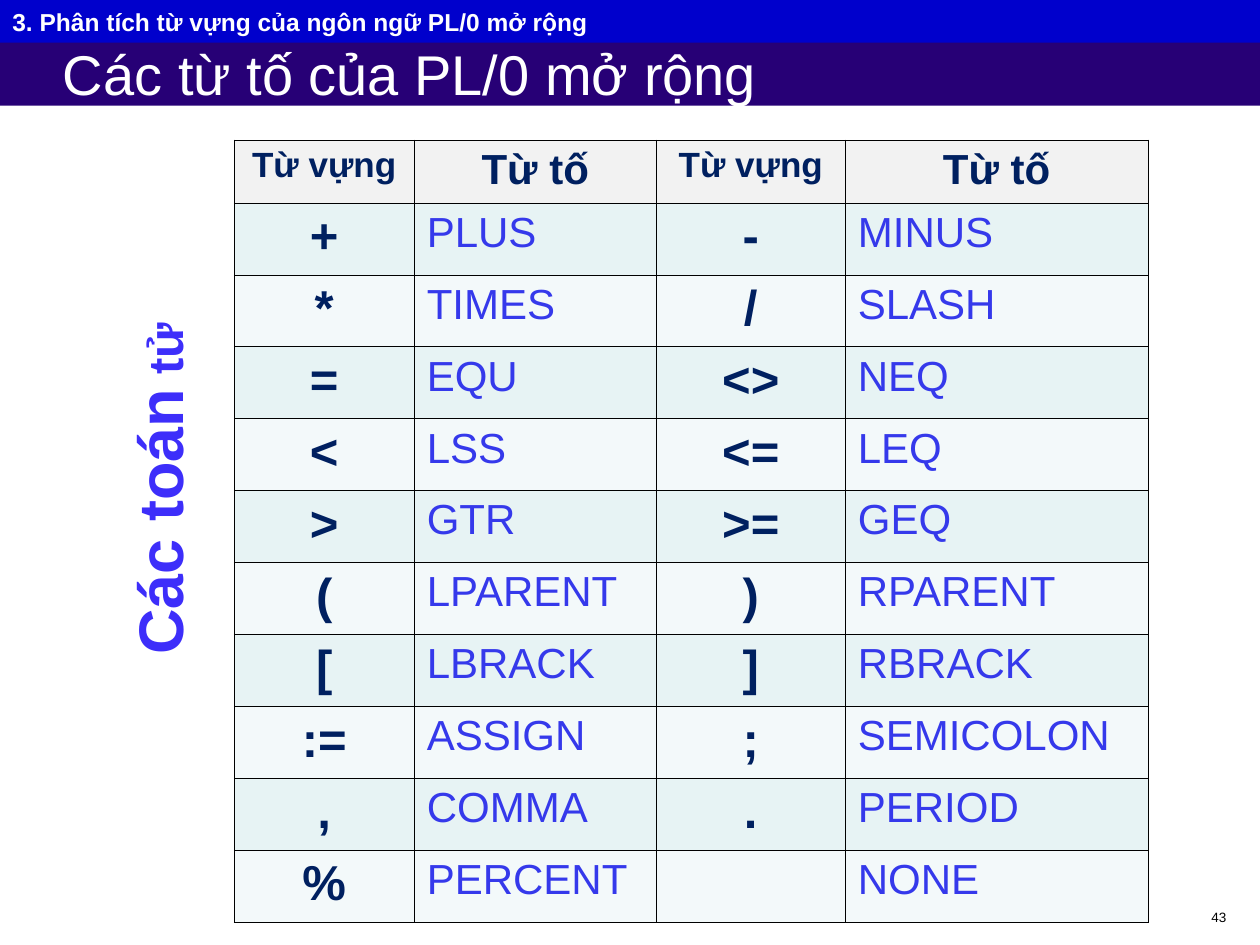
from dataclasses import dataclass

from lxml import etree
from pptx import Presentation
from pptx import util as u
from pptx.dml.color import RGBColor
from pptx.enum import shapes, text
from pptx.oxml import parse_xml
from pptx.oxml.ns import nsdecls

FONT = "Arial"
COLORS = {
    "white": "FFFFFF",
    "black": "000000",
    "chapter_bar": "0000CC",
    "title_bar": "270076",
    "side_label": "3D2EFA",
    "lexeme": "002060",
    "token": "3539EB",
    "header_row": "F2F2F2",
    "odd_row": "E7F3F4",
    "even_row": "F3F9FA",
}
COLUMN_WIDTHS = (3.63, 4.88, 3.81, 6.1)
HEADER_HEIGHT = 1.27
ROW_HEIGHT = 1.45
HEADERS = ("Từ vựng", "Từ tố", "Từ vựng", "Từ tố")
OPERATORS = (
    ("+", "PLUS", "-", "MINUS"),
    ("*", "TIMES", "/", "SLASH"),
    ("=", "EQU", "<>", "NEQ"),
    ("<", "LSS", "<=", "LEQ"),
    (">", "GTR", ">=", "GEQ"),
    ("(", "LPARENT", ")", "RPARENT"),
    ("[", "LBRACK", "]", "RBRACK"),
    (":=", "ASSIGN", ";", "SEMICOLON"),
    (",", "COMMA", ".", "PERIOD"),
    ("%", "PERCENT", "", "NONE"),
)


@dataclass(frozen=True)
class TextStyle:
    size: float
    color: str
    bold: bool = False
    align: text.PP_ALIGN = text.PP_ALIGN.LEFT


@dataclass(frozen=True)
class Bar:
    top: float
    height: float
    fill: str
    inset: float
    words: str
    style: TextStyle


CENTER = text.PP_ALIGN.CENTER
LEXEME_HEADER = TextStyle(20, "lexeme", True, CENTER)
TOKEN_HEADER = TextStyle(24, "lexeme", True, CENTER)
LEXEME = TextStyle(28, "lexeme", True, CENTER)
TOKEN = TextStyle(24, "token")
PAGE_NUMBER = TextStyle(7.7, "black", align=text.PP_ALIGN.RIGHT)
BARS = (
    Bar(0.82, 1.31, "title_bar", 1.27, "Các từ tố của PL/0 mở rộng",
        TextStyle(32, "white")),
    Bar(0, 0.86, "chapter_bar", 0.25,
        "3. Phân tích từ vựng của ngôn ngữ PL/0 mở rộng",
        TextStyle(14, "white", True)),
)


def rgb(name: str) -> RGBColor:
    return RGBColor.from_string(COLORS[name])


def style_font(font, style: TextStyle) -> None:
    font.name = FONT
    font.size = u.Pt(style.size)
    font.bold = style.bold
    font.color.rgb = rgb(style.color)


def write(paragraph, words: str, style: TextStyle) -> None:
    paragraph.text = words
    paragraph.alignment = style.align
    style_font(paragraph.font, style)


def add_bar(slide, bar: Bar, width: int) -> None:
    shape = slide.shapes.add_shape(
        shapes.MSO_SHAPE.RECTANGLE, 0, u.Cm(bar.top), width, u.Cm(bar.height))
    shape.shadow.inherit = False
    shape.fill.solid()
    shape.fill.fore_color.rgb = rgb(bar.fill)
    shape.line.fill.background()
    frame = shape.text_frame
    frame.margin_left = u.Cm(bar.inset)
    frame.margin_top = frame.margin_bottom = 0
    frame.vertical_anchor = text.MSO_ANCHOR.MIDDLE
    write(frame.paragraphs[0], bar.words, bar.style)


def add_side_label(slide) -> None:
    """Add the label that reads upwards, to the left of the table."""
    box = slide.shapes.add_textbox(u.Cm(2.11), u.Cm(5.51), u.Cm(2.54), u.Cm(8.69))
    frame = box.text_frame
    frame.word_wrap = True
    frame.margin_left = frame.margin_right = u.Cm(0.33)
    frame.margin_top = frame.margin_bottom = u.Cm(0.33)
    body = frame.paragraphs[0]._p.getparent().find("{*}bodyPr")
    body.set("vert", "vert270")
    paragraph = frame.paragraphs[0]
    paragraph.alignment = CENTER
    for words, size in (("Các toán", 36), (" tử", 28)):
        run = paragraph.add_run()
        run.text = words
        style_font(run.font, TextStyle(size, "side_label", True))


def add_borders(cell) -> None:
    properties = cell._tc.get_or_add_tcPr()
    for index, side in enumerate(("lnL", "lnR", "lnT", "lnB")):
        border = parse_xml(f'<a:{side} {nsdecls("a")} w="{u.Pt(0.45)}"/>')
        fill = etree.SubElement(border, border.tag.replace(side, "solidFill"))
        color = etree.SubElement(fill, border.tag.replace(side, "srgbClr"))
        color.set("val", COLORS["black"])
        properties.insert(index, border)


def fill_row(table, row: int, words: tuple[str, ...], fill: str,
             styles: tuple[TextStyle, TextStyle]) -> None:
    """Fill one row, with the lexeme and token styles taking turns."""
    for column, word in enumerate(words):
        cell = table.cell(row, column)
        cell.fill.solid()
        cell.fill.fore_color.rgb = rgb(fill)
        add_borders(cell)
        write(cell.text_frame.paragraphs[0], word, styles[column % 2])


def add_operator_table(slide) -> None:
    height = HEADER_HEIGHT + ROW_HEIGHT * len(OPERATORS)
    table = slide.shapes.add_table(
        len(OPERATORS) + 1, len(COLUMN_WIDTHS), u.Cm(4.72), u.Cm(2.82),
        u.Cm(sum(COLUMN_WIDTHS)), u.Cm(height)).table
    for column, width in zip(table.columns, COLUMN_WIDTHS):
        column.width = u.Cm(width)
    for index, row in enumerate(table.rows):
        row.height = u.Cm(ROW_HEIGHT if index else HEADER_HEIGHT)
    fill_row(table, 0, HEADERS, "header_row", (LEXEME_HEADER, TOKEN_HEADER))
    for index, words in enumerate(OPERATORS, start=1):
        fill = "odd_row" if index % 2 else "even_row"
        fill_row(table, index, words, fill, (LEXEME, TOKEN))


def add_page_number(slide) -> None:
    box = slide.shapes.add_textbox(u.Cm(19.69), u.Cm(18.21), u.Cm(5.28), u.Cm(0.61))
    box.text_frame.word_wrap = True
    write(box.text_frame.paragraphs[0], "43", PAGE_NUMBER)


def main() -> None:
    presentation = Presentation()
    presentation.slide_width = u.Cm(25.4)
    presentation.slide_height = u.Cm(19.05)
    slide = presentation.slides.add_slide(presentation.slide_layouts[6])
    add_page_number(slide)
    for bar in BARS:
        add_bar(slide, bar, presentation.slide_width)
    add_side_label(slide)
    add_operator_table(slide)
    presentation.save("out.pptx")


if __name__ == "__main__":
    main()
